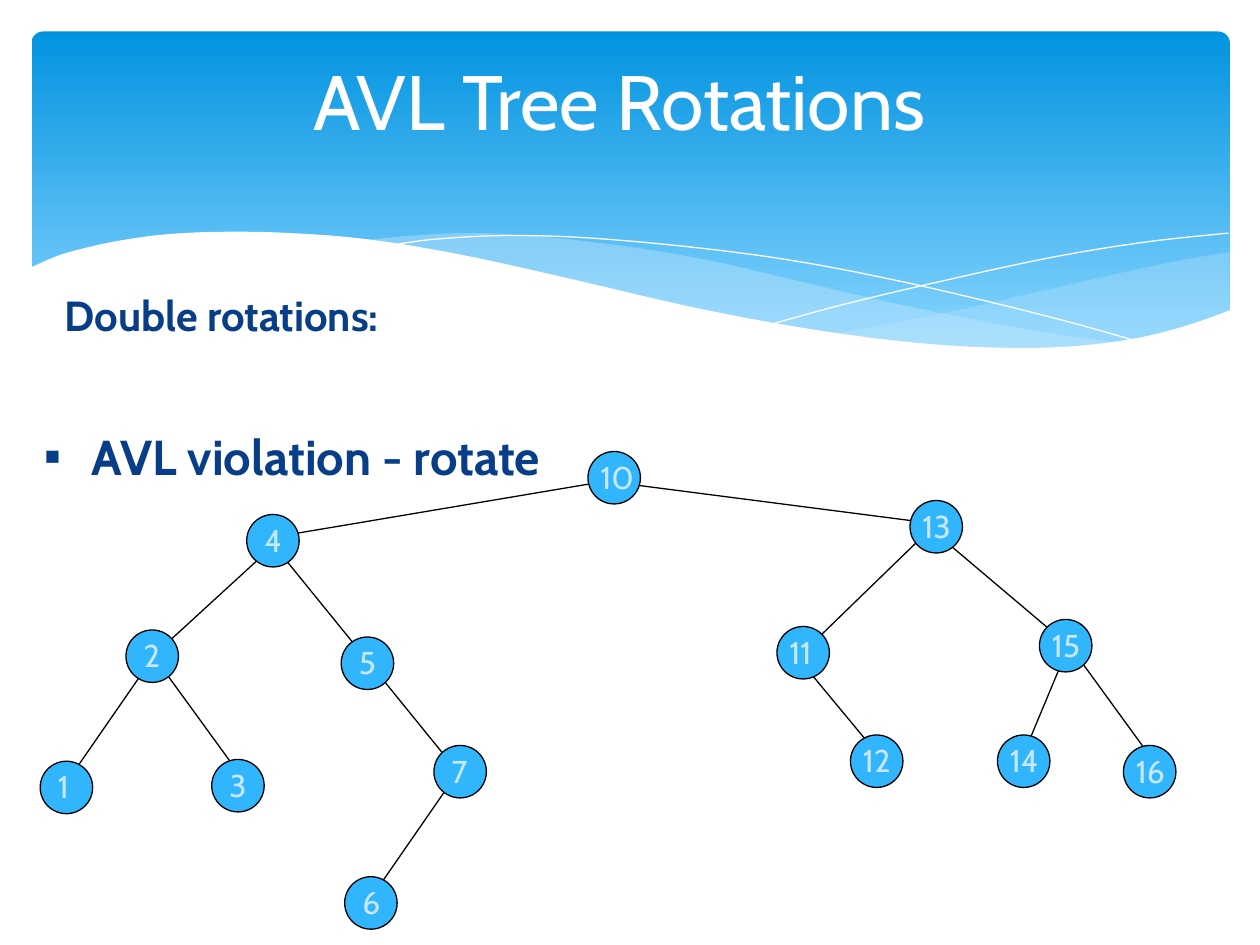
"""Build the AVL tree rotations slide: wave banner, headings and a binary tree."""
from lxml import etree
from pptx import Presentation, util as u
from pptx.dml.color import RGBColor
from pptx.enum import shapes as s, text as t
from pptx.oxml.ns import qn

WHITE = RGBColor(0xFF, 0xFF, 0xFF)
BLACK = RGBColor(0x00, 0x00, 0x00)
DEEP = RGBColor(0x02, 0x93, 0xE0)
LIGHT = RGBColor(0x83, 0xD3, 0xFE)
PALE = RGBColor(0xC6, 0xE7, 0xFC)
BLUE = RGBColor(0x31, 0xB6, 0xFD)
NAVY = RGBColor(0x07, 0x3E, 0x87)

deck = Presentation()
deck.slide_width, deck.slide_height = u.Inches(10), u.Inches(7.5)
slide = deck.slides.add_slide(deck.slide_layouts[6])
cell = deck.slide_width / 120
tick = deck.slide_width / 1000
STEPS = 6


def curve(knots):
    """Return points on a smooth curve through the knots."""
    ends = [knots[0], *knots, knots[-1]]
    dots = [knots[0]]
    for a, b, c, d in zip(ends, ends[1:], ends[2:], ends[3:]):
        for step in range(1, STEPS + 1):
            f = step / STEPS
            dots.append(tuple(
                b[i] + f * (c[i] - a[i]) / 2
                + f * f * (2 * a[i] - 5 * b[i] + 4 * c[i] - d[i]) / 2
                + f ** 3 * (3 * b[i] - a[i] - 3 * c[i] + d[i]) / 2
                for i in (0, 1)))
    return dots


def label(words, spot, size, color, bold=False, indent=0, bullet=None):
    """Add one line of text in a box measured in grid cells."""
    box = slide.shapes.add_textbox(*(round(n * cell) for n in spot))
    frame = box.text_frame
    frame.word_wrap = True
    frame.text = words
    para = frame.paragraphs[0]
    if indent:
        props = para._p.get_or_add_pPr()
        props.set("marL", str(u.Inches(indent)))
        props.set("indent", str(-u.Inches(indent)))
        if bullet:
            etree.SubElement(props, qn("a:buFont")).set("typeface", "Arial")
            etree.SubElement(props, qn("a:buChar")).set("char", bullet)
        else:
            etree.SubElement(props, qn("a:buNone"))
    font = para.runs[0].font
    font.name, font.size, font.bold = "Cabin", u.Pt(size), bold
    font.color.rgb = color
    return frame


banner = slide.shapes.add_shape(
    s.MSO_SHAPE.ROUNDED_RECTANGLE,
    *(round(n * tick) for n in (25, 25, 951, 270)))
banner.adjustments[0] = 0.034
banner.shadow.inherit = False
banner.line.fill.background()
banner.fill.gradient()
banner.fill.gradient_angle = 270
for stop, color, place in zip(banner.fill.gradient_stops, (DEEP, LIGHT), (0, 0.9)):
    stop.color.rgb, stop.position = color, place

right = curve([(976, 200), (935, 207), (861, 223), (779, 242), (706, 257), (661, 265)])
right += curve([(661, 265), (719, 272), (769, 277), (814, 278), (854, 276),
                (889, 272), (921, 265), (949, 257), (976, 247)])
middle = curve([(893, 273), (837, 265), (775, 254), (706, 240), (629, 222),
                (569, 208), (514, 198), (442, 189), (380, 185), (328, 187), (286, 191)])
middle += curve([(286, 191), (342, 199), (404, 211), (491, 232), (566, 248), (634, 261),
                 (695, 270), (748, 276), (796, 278), (838, 278), (893, 273)])
sweep = curve([(309, 195), (344, 190), (401, 187), (469, 189), (556, 197),
               (636, 208), (727, 226), (831, 251), (907, 272)])
rise = curve([(613, 257), (672, 241), (748, 223), (836, 204), (910, 192), (975, 185)])
front = curve([(977, 246), (940, 259), (899, 269), (850, 275), (793, 276), (726, 272),
               (648, 262), (555, 245), (447, 220), (365, 202), (292, 190), (230, 185),
               (177, 184), (132, 186), (95, 191), (67, 197), (46, 203), (23, 213)])
front += [(23, 329), (977, 329)]

for dots, color, share in ((right, PALE, 29), (middle, PALE, 40),
                           (sweep, None, 0), (rise, None, 0), (front, WHITE, 100)):
    dots = [(x * tick, y * tick) for x, y in dots]
    pen = slide.shapes.build_freeform(*dots[0])
    pen.add_line_segments(dots[1:], close=color is not None)
    wave = pen.convert_to_shape()
    wave.shadow.inherit = False
    if color is None:
        wave.fill.background()
        wave.line.color.rgb, wave.line.width = WHITE, 0
        continue
    wave.line.fill.background()
    wave.fill.solid()
    wave.fill.fore_color.rgb = color
    if share < 100:
        tone = wave._element.spPr.find(".//" + qn("a:srgbClr"))
        etree.SubElement(tone, qn("a:alpha")).set("val", str(share * 1000))

edges = [
    (44, 73, 35, 86), (15, 62, 6, 75), (15, 63, 23, 74), (26, 52, 14, 63),
    (102, 61.67, 110, 72.67), (76, 62.67, 84, 72.33), (59, 46, 90, 50),
    (27, 51, 58.67, 45.67), (102, 61, 97, 73), (25.33, 51, 44, 74),
    (89, 50, 78, 60.67), (89, 50.67, 102, 61.67),
]
for edge in edges:
    link = slide.shapes.add_connector(
        s.MSO_CONNECTOR.STRAIGHT, *(round(n * cell) for n in edge))
    link.line.color.rgb, link.line.width = BLACK, u.Pt(0.75)
    etree.SubElement(link._element.spPr, qn("a:effectLst"))

title = label("AVL Tree Rotations", (8, 2, 102, 15), 44, WHITE)
title.vertical_anchor = t.MSO_ANCHOR.MIDDLE
title.paragraphs[0].alignment = t.PP_ALIGN.CENTER

nodes = {
    10: (56, 43), 13: (86.67, 47.67), 15: (99, 59), 4: (23.5, 49),
    11: (74, 59.67), 2: (12, 60), 5: (32.5, 60.67), 7: (41.33, 71),
    12: (81, 70), 14: (95, 70), 16: (107, 71), 3: (20.17, 72.33),
    1: (3.83, 72.5), 6: (32.83, 83.5),
}
for key, (x, y) in nodes.items():
    disc = slide.shapes.add_shape(
        s.MSO_SHAPE.OVAL, *(round(n * cell) for n in (x, y, 5, 5)))
    disc.shadow.inherit = False
    disc.fill.solid()
    disc.fill.fore_color.rgb = BLUE
    disc.line.color.rgb, disc.line.width = BLACK, u.Pt(0.75)
    label(str(key), (x + (0.5 if key < 10 else 0), y, 6, 4.8), 18, PALE)

label("AVL violation - rotate", (3, 40, 51.5, 8), 28, NAVY, True, 0.38, "▪")
label("Double rotations:", (5, 27, 112, 8), 24, NAVY, True, 0.3)

deck.save("out.pptx")
